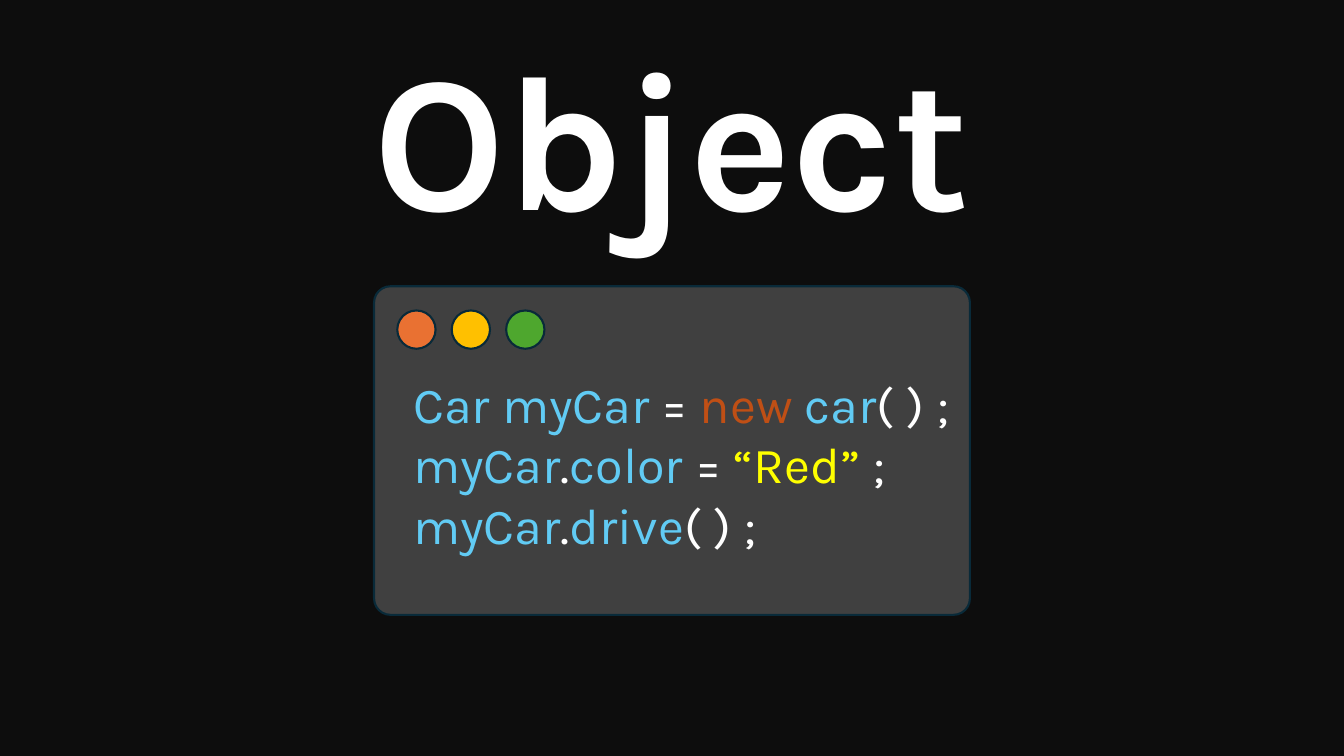
import dataclasses

import pptx
import pptx.dml.color
import pptx.enum.shapes
import pptx.enum.text
import pptx.util

Kind = pptx.enum.shapes.MSO_SHAPE
Align = pptx.enum.text.PP_ALIGN
SCALE = 9144


def px(count):
    return pptx.util.Emu(count * SCALE)


def rgb(value):
    return pptx.dml.color.RGBColor.from_string(value)


@dataclasses.dataclass(frozen=True)
class Theme:
    font: str = "Karla"
    head: int = 138
    code: int = 36
    edge: float = 1.5
    back: str = "0D0D0D"
    panel: str = "404040"
    line: str = "092A39"
    white: str = "FFFFFF"
    name: str = "61CBF4"
    key: str = "C04F15"
    quote: str = "FFFF00"
    lights: tuple = ("E97132", "FFC000", "4EA72E")


def write(para, text, *, font, size, color, bold=False):
    run = para.add_run()
    run.text = text
    run.font.name = font
    run.font.size = pptx.util.Pt(size)
    run.font.bold = bold
    run.font.color.rgb = rgb(color)


class Deck:
    def __init__(self, theme):
        self.theme = theme
        self.file = pptx.Presentation()
        self.file.slide_width = px(1333)
        self.file.slide_height = px(750)
        self.slide = self.file.slides.add_slide(self.file.slide_layouts[5])
        fill = self.slide.background.fill
        fill.solid()
        fill.fore_color.rgb = rgb(theme.back)

    def frame(self, shape):
        frame = shape.text_frame
        frame.word_wrap = True
        frame.auto_size = pptx.enum.text.MSO_AUTO_SIZE.SHAPE_TO_FIT_TEXT
        frame.vertical_anchor = pptx.enum.text.MSO_ANCHOR.TOP
        return frame

    def title(self, text, box):
        shape = self.slide.shapes.title
        shape.left, shape.top, shape.width, shape.height = map(px, box)
        para = self.frame(shape).paragraphs[0]
        para.alignment = Align.CENTER
        para.line_spacing = 1.0
        write(para, text, font=self.theme.font, size=self.theme.head,
              color=self.theme.white, bold=True)

    def shape(self, kind, box, color, home=None):
        shapes = home or self.slide.shapes
        shape = shapes.add_shape(kind, *map(px, box))
        shape.shadow.inherit = False
        shape.fill.solid()
        shape.fill.fore_color.rgb = rgb(color)
        shape.line.color.rgb = rgb(self.theme.line)
        shape.line.width = pptx.util.Pt(self.theme.edge)
        return shape

    def panel(self, box):
        shape = self.shape(Kind.ROUNDED_RECTANGLE, box, self.theme.panel)
        shape.adjustments[0] = 0.05

    def lights(self, left, top, size, step):
        group = self.slide.shapes.add_group_shape()
        for spot, color in enumerate(self.theme.lights):
            box = (left + spot * step, top, size, size)
            self.shape(Kind.OVAL, box, color, group.shapes)

    def code(self, lines, box):
        frame = self.frame(self.slide.shapes.add_textbox(*map(px, box)))
        for spot, line in enumerate(lines):
            para = frame.add_paragraph() if spot else frame.paragraphs[0]
            para.alignment = Align.LEFT
            for text, color in line:
                write(para, text, font=self.theme.font,
                      size=self.theme.code, color=color)


def main():
    theme = Theme()
    name, white = theme.name, theme.white
    call = ("( ) ;", white)
    equal = (" = ", white)
    owner = [("myCar", name), (".", white)]
    lines = [
        [("Car myCar", name), equal, ("new ", theme.key), ("car", name), call],
        owner + [("color", name), equal, ("“Red”", theme.quote), (" ;", white)],
        owner + [("drive", name), call],
    ]
    deck = Deck(theme)
    deck.title("Object", (73, 12, 1187, 242))
    deck.panel((371, 284, 591, 326))
    deck.lights(394, 308, 38, 54)
    deck.code(lines, (400, 365, 562, 192))
    deck.file.save("out.pptx")


if __name__ == "__main__":
    main()
